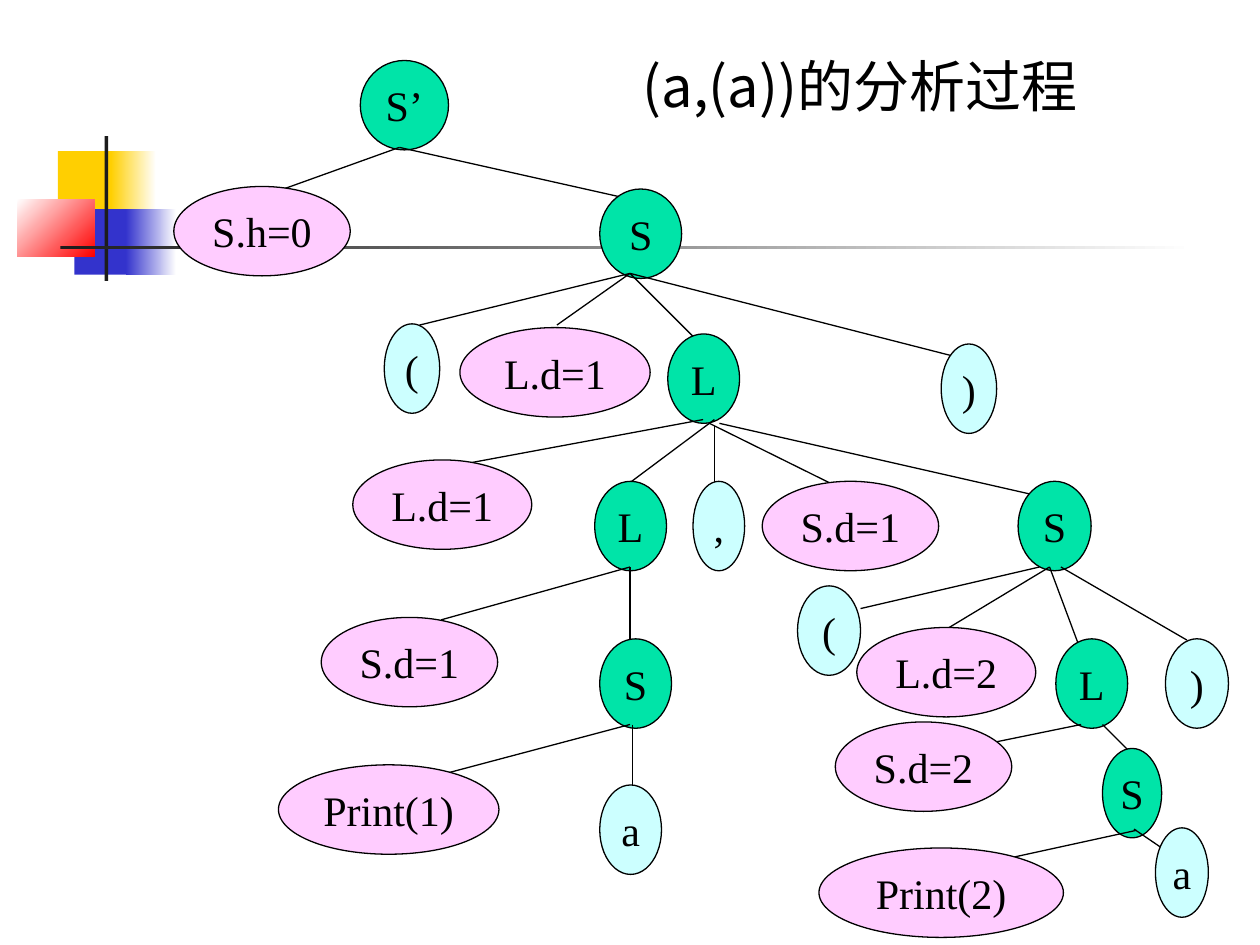
"""Build the slide with the annotated parse tree of (a,(a))."""
from lxml import etree
from pptx import Presentation, util as u
from pptx.dml.color import RGBColor
from pptx.enum import shapes, text
from pptx.oxml.ns import qn

COLORS = {
    "symbol": "00E4A8", "action": "FFCCFF", "token": "CCFFFF",
    "black": "000000", "white": "FFFFFF", "yellow": "FFCF01",
    "blue": "3333CC", "red": "FF0000", "dark": "1C1C1C",
}
TITLE = "(a,(a))的分析过程"
TITLE_BOX = (5, 0.36, 4.42, 0.64)
TITLE_FONT, NODE_FONT = "Noto Sans CJK JP", "Times New Roman"
NODE_HEIGHT = 0.71

# Left, top, width, height, colours, gradient angle
DECORATION = [
    (0.46, 1.2, 0.48, 0.52, ["yellow"], 0),
    (0.88, 1.2, 0.36, 0.52, ["yellow", "white"], 0),
    (0.59, 1.66, 0.46, 0.52, ["blue"], 0),
    (1, 1.66, 0.4, 0.52, ["blue", "white"], 0),
    (0.14, 1.58, 0.61, 0.46, ["white", "red"], 315),
    (0.83, 1.08, 0.03, 1.15, ["dark"], 0),
    (0.48, 1.95, 9, 0.03, ["dark", "white"], 0),
]

# Kind, label, left, top, width, branch start, branch end
NODES = [
    ("symbol", "S’", 2.86, 0.48, 0.7, None, None),
    ("action", "S.h=0", 1.38, 1.48, 1.4, (3.17, 1.17), (2.25, 1.5)),
    ("symbol", "S", 4.76, 1.5, 0.65, (3.17, 1.17), (5, 1.58)),
    ("token", "(", 3.05, 2.57, 0.44, (5, 2.17), (3.33, 2.58)),
    ("action", "L.d=1", 3.65, 2.6, 1.51, (5, 2.17), (4.42, 2.58)),
    ("symbol", "L", 5.3, 2.65, 0.57, (5, 2.17), (5.5, 2.67)),
    ("token", ")", 7.47, 2.73, 0.44, (5, 2.17), (7.58, 2.83)),
    ("action", "L.d=1", 2.8, 3.65, 1.42, (5.58, 3.33), (3.75, 3.67)),
    ("symbol", "L", 4.72, 3.82, 0.57, (5.67, 3.33), (5, 3.83)),
    ("token", ",", 5.5, 3.82, 0.41, (5.67, 3.38), (5.67, 3.83)),
    ("action", "S.d=1", 6.05, 3.82, 1.4, (5.63, 3.36), (6.58, 3.83)),
    ("symbol", "S", 8.08, 3.82, 0.58, (5.71, 3.36), (8.17, 3.92)),
    ("action", "S.d=1", 2.55, 4.9, 1.4, (5, 4.5), (3.5, 4.92)),
    ("symbol", "S", 4.76, 5.07, 0.57, (5, 4.5), (5, 5.09)),
    ("action", "Print(1)", 2.21, 6.07, 1.75, (5, 5.75), (3.42, 6.17)),
    ("token", "a", 4.76, 6.23, 0.49, (5.02, 5.75), (5.02, 6.25)),
    ("token", "(", 6.33, 4.65, 0.5, (8.25, 4.5), (6.83, 4.83)),
    ("action", "L.d=2", 6.8, 4.98, 1.42, (8.33, 4.5), (7.5, 5)),
    ("symbol", "L", 8.38, 5.07, 0.57, (8.33, 4.5), (8.58, 5.17)),
    ("token", ")", 9.25, 5.07, 0.5, (8.42, 4.5), (9.42, 5.08)),
    ("action", "S.d=2", 6.63, 5.73, 1.4, (8.58, 5.75), (7.75, 5.92)),
    ("symbol", "S", 8.75, 5.94, 0.47, (8.75, 5.75), (9, 6)),
    ("action", "Print(2)", 6.5, 6.73, 1.94, (9.02, 6.59), (7.92, 6.83)),
    ("token", "a", 9.17, 6.57, 0.42, (9, 6.58), (9.25, 6.75)),
]


def rgb(name):
    return RGBColor.from_string(COLORS[name])


def inches(values):
    return [u.Inches(value) for value in values]


def paint(shape, fill, line, width):
    shape.fill.solid()
    shape.fill.fore_color.rgb = rgb(fill)
    shape.line.color.rgb = rgb(line)
    shape.line.width = u.Pt(width)


def write(shape, words, font, size, frame_format, align):
    frame = shape.text_frame
    for name, value in frame_format.items():
        setattr(frame, name, value)
    para = frame.paragraphs[0]
    para.alignment = align
    span = para.add_run()
    span.text = words
    for name, value in {"name": font, "size": u.Pt(size), "bold": False}.items():
        setattr(span.font, name, value)
    span.font.color.rgb = rgb("black")
    etree.SubElement(span.font._element, qn("a:ea"), typeface=font)


def add_decoration(page, left, top, width, height, colors, angle):
    box = page.shapes.add_shape(
        shapes.MSO_SHAPE.RECTANGLE, *inches((left, top, width, height)))
    box.shadow.inherit = False
    box.line.fill.background()
    if len(colors) == 1:
        box.fill.solid()
        box.fill.fore_color.rgb = rgb(colors[0])
        return
    box.fill.gradient()
    box.fill.gradient_angle = angle
    for stop, color, position in zip(box.fill.gradient_stops, colors, (0, 1)):
        stop.color.rgb = rgb(color)
        stop.position = position


def add_branch(page, start, end):
    branch = page.shapes.add_connector(
        shapes.MSO_CONNECTOR.STRAIGHT, *inches(start + end))
    branch.line.color.rgb = rgb("black")
    branch.line.width = u.Pt(0.75)
    etree.SubElement(branch._element.spPr, qn("a:effectLst"))


def add_node(page, kind, label, left, top, width):
    node = page.shapes.add_shape(
        shapes.MSO_SHAPE.OVAL, *inches((left, top, width, NODE_HEIGHT)))
    node.shadow.inherit = False
    paint(node, kind, "black", 0.75)
    frame_format = {"word_wrap": False, "vertical_anchor": text.MSO_ANCHOR.MIDDLE}
    write(node, label, NODE_FONT, 24, frame_format, text.PP_ALIGN.CENTER)


def add_title(page):
    title = page.shapes.title
    for name, value in zip(("left", "top", "width", "height"), inches(TITLE_BOX)):
        setattr(title, name, value)
    paint(title, "white", "white", 0.25)
    frame_format = {"word_wrap": True, "vertical_anchor": text.MSO_ANCHOR.TOP,
                    "auto_size": text.MSO_AUTO_SIZE.NONE}
    write(title, TITLE, TITLE_FONT, 32, frame_format, text.PP_ALIGN.LEFT)


def main():
    deck = Presentation()
    deck.slide_width, deck.slide_height = inches((10, 7.5))
    page = deck.slides.add_slide(deck.slide_layouts[5])
    add_title(page)
    for part in DECORATION:
        add_decoration(page, *part)
    for *node, start, end in NODES:
        if start:
            add_branch(page, start, end)
        add_node(page, *node)
    deck.save("out.pptx")


if __name__ == "__main__":
    main()
